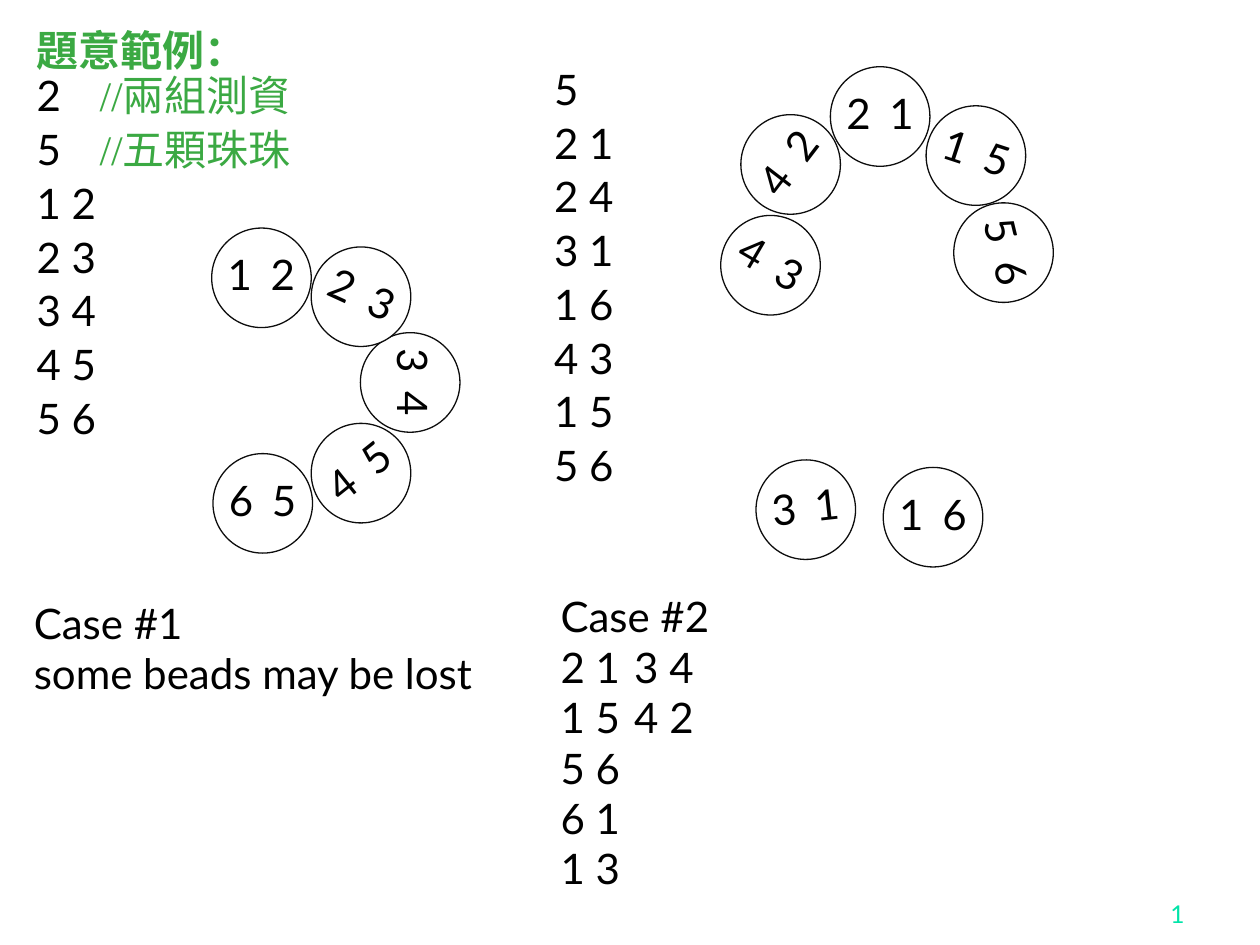
from lxml import etree
from pptx import Presentation
from pptx.dml.color import RGBColor
from pptx.enum.shapes import MSO_SHAPE
from pptx.enum.text import MSO_ANCHOR, MSO_AUTO_SIZE, PP_ALIGN
from pptx.oxml.ns import qn
from pptx.util import Inches, Pt

OVAL = MSO_SHAPE.OVAL
TOP, BOTTOM = MSO_ANCHOR.TOP, MSO_ANCHOR.BOTTOM
CENTER, RIGHT = PP_ALIGN.CENTER, PP_ALIGN.RIGHT
NO_FIT, GROW = MSO_AUTO_SIZE.NONE, MSO_AUTO_SIZE.SHAPE_TO_FIT_TEXT

LATIN, SERIF = "Lato", "Times New Roman"
BLACK, GREEN, MINT, WHITE, OUTLINE = "000000", "3BA943", "00E4A8", "FFFFFF", "0D0D0D"
BEAD_SIZE = 0.79

BEADS = [
    ("1 2", 1.68, 1.81, 0),
    ("3 4", 2.86, 2.64, 90),
    ("6 5", 1.69, 3.6, 0),
    ("4 5", 2.47, 3.36, 321.3),
    ("2 3", 2.47, 1.96, 24.7),
    ("2 1", 6.59, 0.53, 0),
    ("3 1", 6, 3.65, 353.7),
    ("4 3", 5.72, 1.71, 30.3),
    ("1 6", 7.01, 3.71, 0),
    ("4 2", 5.88, 0.91, 307.5),
    ("1 5", 7.35, 0.84, 18.2),
    ("5 6", 7.57, 1.61, 76.5),
]


def rgb(color):
    return RGBColor.from_string(color)


def add_text(p, text, size=24, font=LATIN, color=BLACK, bold=False, spacing=0):
    r = p.add_run()
    r.text = text
    r.font.size = Pt(size)
    r.font.name = font
    r.font.bold = bold
    r.font.color.rgb = rgb(color)
    if spacing:
        r._r.get_or_add_rPr().set("spc", str(spacing))
    return r


def place(sp, left, top, width, height):
    sp.left, sp.top = Inches(left), Inches(top)
    sp.width, sp.height = Inches(width), Inches(height)


def add_paragraphs(tf, lines, list_style=False):
    for i, runs in enumerate(lines):
        p = tf.paragraphs[0] if i == 0 else tf.add_paragraph()
        if list_style:
            p.line_spacing = 0.9
            p.space_before = Pt(4.8 if i else 0)
        for text, fmt in runs:
            if text == "\n":
                p.add_line_break()
            else:
                add_text(p, text, **fmt)


def plain(*lines):
    return [[(line, {})] for line in lines]


def add_box(slide, box, lines, fit=NO_FIT, list_style=False):
    sp = slide.shapes.add_textbox(*map(Inches, box))
    tf = sp.text_frame
    tf.word_wrap = True
    tf.auto_size = fit
    add_paragraphs(tf, lines, list_style)
    return sp


def fill_body(sp, box, lines):
    place(sp, *box)
    tf = sp.text_frame
    tf.auto_size = NO_FIT
    add_paragraphs(tf, lines, list_style=True)
    for p in tf.paragraphs:
        pPr = p._p.get_or_add_pPr()
        pPr.set("marL", "0")
        pPr.set("indent", "0")
        etree.SubElement(pPr, qn("a:buNone"))


def add_bead(slide, text, left, top, angle):
    sp = slide.shapes.add_shape(
        OVAL, Inches(left), Inches(top), Inches(BEAD_SIZE), Inches(BEAD_SIZE))
    sp.rotation = angle
    sp.shadow.inherit = False
    sp.fill.solid()
    sp.fill.fore_color.rgb = rgb(WHITE)
    sp.line.color.rgb = rgb(OUTLINE)
    sp.line.width = Pt(0.75)
    tf = sp.text_frame
    tf.word_wrap = False
    tf.vertical_anchor = TOP
    p = tf.paragraphs[0]
    p.alignment = CENTER
    add_text(p, text, spacing=230)


def add_page_number(slide, number):
    sp = add_box(slide, (7.42, 6.92, 2.08, 0.5), [])
    sp.text_frame.vertical_anchor = BOTTOM
    p = sp.text_frame.paragraphs[0]
    p.alignment = RIGHT
    r = add_text(p, number, size=14, color=MINT)._r
    r.tag = qn("a:fld")
    r.set("id", "{B6F15528-21DE-4FAA-801E-634DDDAF4B2B}")
    r.set("type", "slidenum")


def main():
    prs = Presentation()
    prs.slide_width, prs.slide_height = Inches(10), Inches(7.5)
    slide = prs.slides.add_slide(prs.slide_layouts[1])
    title = slide.shapes.title._element
    title.getparent().remove(title)

    note = {"font": SERIF, "color": GREEN}
    heading = [("題意範例：", {**note, "bold": True}), ("\n", {})]
    first_input = [
        heading + [("2\t", {}), ("//兩組測資", note)],
        [("5\t", {}), ("//五顆珠珠", note)],
    ] + plain("1 2", "2 3", "3 4", "4 5", "5 6")
    fill_body(slide.placeholders[1], (0.19, 0.19, 3.25, 5.69), first_input)

    second_input = plain("5", "2 1", "2 4", "3 1", "1 6", "4 3", "1 5", "5 6")
    add_box(slide, (4.3, 0.5, 2.2, 3.73), second_input, list_style=True)

    for bead in BEADS:
        add_bead(slide, *bead)

    add_box(slide, (0.17, 4.69, 3.82, 0.91),
            plain("Case #1", "some beads may be lost"), fit=GROW)
    add_box(slide, (4.35, 4.64, 3.15, 2.52),
            plain("Case #2", "2 1\t 3 4", "1 5\t 4 2", "5 6", "6 1", "1 3"), fit=GROW)
    add_page_number(slide, "2")
    prs.save("out.pptx")


if __name__ == "__main__":
    main()
